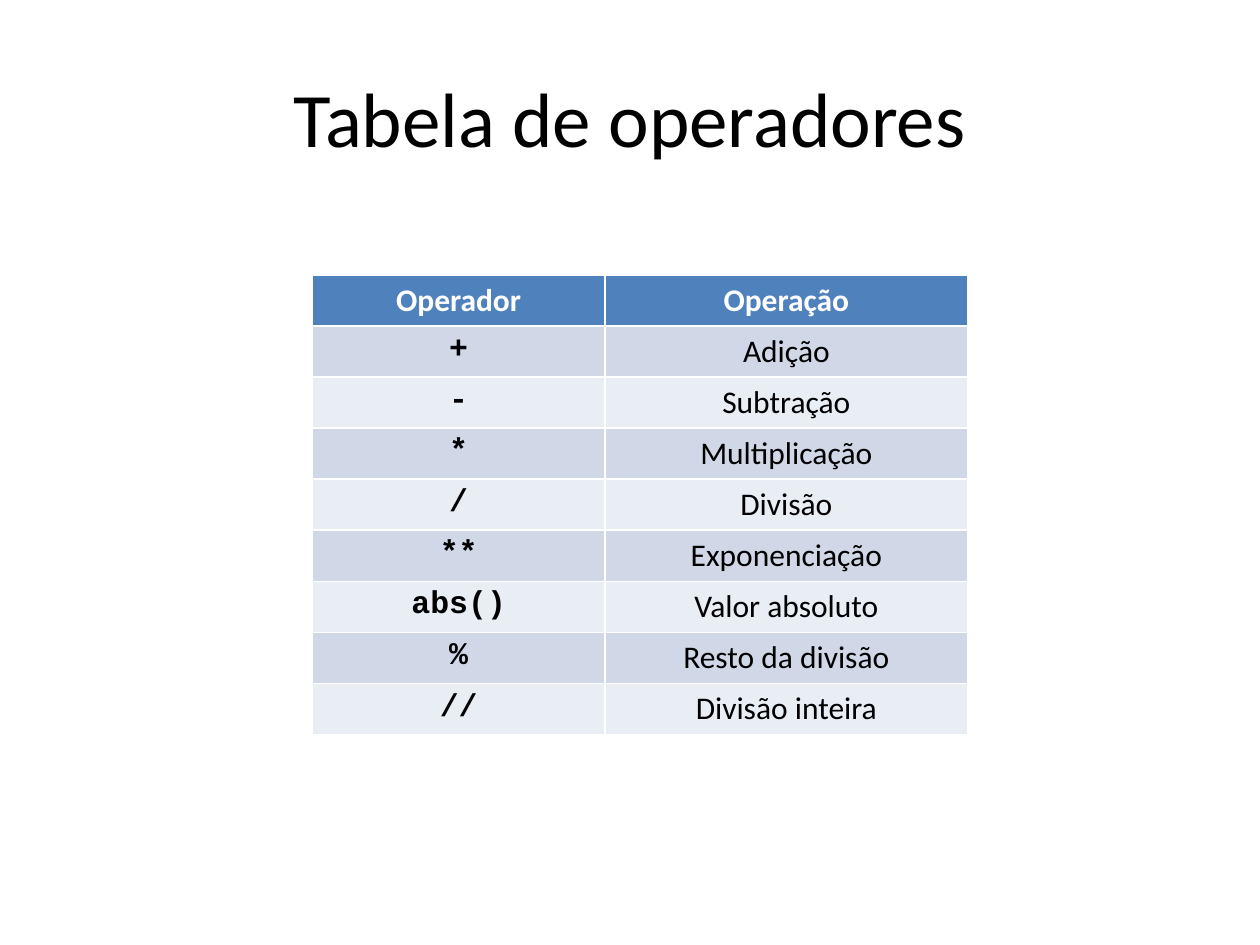
from pptx import Presentation
from pptx.dml.color import RGBColor
from pptx.enum.text import MSO_ANCHOR, PP_ALIGN
from pptx.util import Pt

CENTER = PP_ALIGN.CENTER
MIDDLE = MSO_ANCHOR.MIDDLE

BLACK = RGBColor(0x00, 0x00, 0x00)
WHITE = RGBColor(0xFF, 0xFF, 0xFF)
HEADER_BLUE = RGBColor(0x4F, 0x81, 0xBD)
BAND_COLORS = (RGBColor(0xD0, 0xD8, 0xE8), RGBColor(0xE9, 0xED, 0xF4))

TITLE_FONT = {"name": "Calibri", "size": Pt(44)}
HEADER_FONT = {"name": "Calibri", "size": Pt(18), "bold": True}
OPERATOR_FONT = {"name": "Courier New", "size": Pt(18), "bold": True}
OPERATION_FONT = {"name": "Calibri", "size": Pt(18), "bold": False}

COLUMN_WIDTHS = (167, 207.5)
ROW_HEIGHT = 29.2

HEADERS = ("Operador", "Operação")
OPERATORS = [
    ("+", "Adição"),
    ("-", "Subtração"),
    ("*", "Multiplicação"),
    ("/", "Divisão"),
    ("**", "Exponenciação"),
    ("abs()", "Valor absoluto"),
    ("%", "Resto da divisão"),
    ("//", "Divisão inteira"),
]


def write_text(frame, text, font_values, color):
    """Put one centred, formatted run in a text frame."""
    para = frame.paragraphs[0]
    para.alignment = CENTER
    span = para.add_run()
    span.text = text
    for name, value in font_values.items():
        setattr(span.font, name, value)
    span.font.color.rgb = color


def add_title(page, text):
    title = page.shapes.title
    title.left, title.top = Pt(36), Pt(21.6)
    title.width, title.height = Pt(648), Pt(90)
    title.text_frame.vertical_anchor = MIDDLE
    write_text(title.text_frame, text, TITLE_FONT, BLACK)


def fill_row(table, index, texts, fonts, color, fill):
    table.rows[index].height = Pt(ROW_HEIGHT)
    for column, (text, font_values) in enumerate(zip(texts, fonts)):
        cell = table.cell(index, column)
        cell.fill.solid()
        cell.fill.fore_color.rgb = fill
        write_text(cell.text_frame, text, font_values, color)


def add_operator_table(page):
    row_count = len(OPERATORS) + 1
    table = page.shapes.add_table(
        row_count, len(HEADERS), Pt(178.6), Pt(157),
        Pt(sum(COLUMN_WIDTHS)), Pt(ROW_HEIGHT * row_count)).table
    for column, width in zip(table.columns, COLUMN_WIDTHS):
        column.width = Pt(width)

    # Header row, then banded operator rows
    fill_row(table, 0, HEADERS, (HEADER_FONT, HEADER_FONT), WHITE, HEADER_BLUE)
    for index, texts in enumerate(OPERATORS):
        fill_row(table, index + 1, texts, (OPERATOR_FONT, OPERATION_FONT),
                 BLACK, BAND_COLORS[index % 2])


def main():
    deck = Presentation()
    deck.slide_width, deck.slide_height = Pt(720), Pt(540)
    title_only = deck.slide_layouts[5]
    page = deck.slides.add_slide(title_only)
    add_title(page, "Tabela de operadores")
    add_operator_table(page)
    deck.save("out.pptx")


if __name__ == "__main__":
    main()
